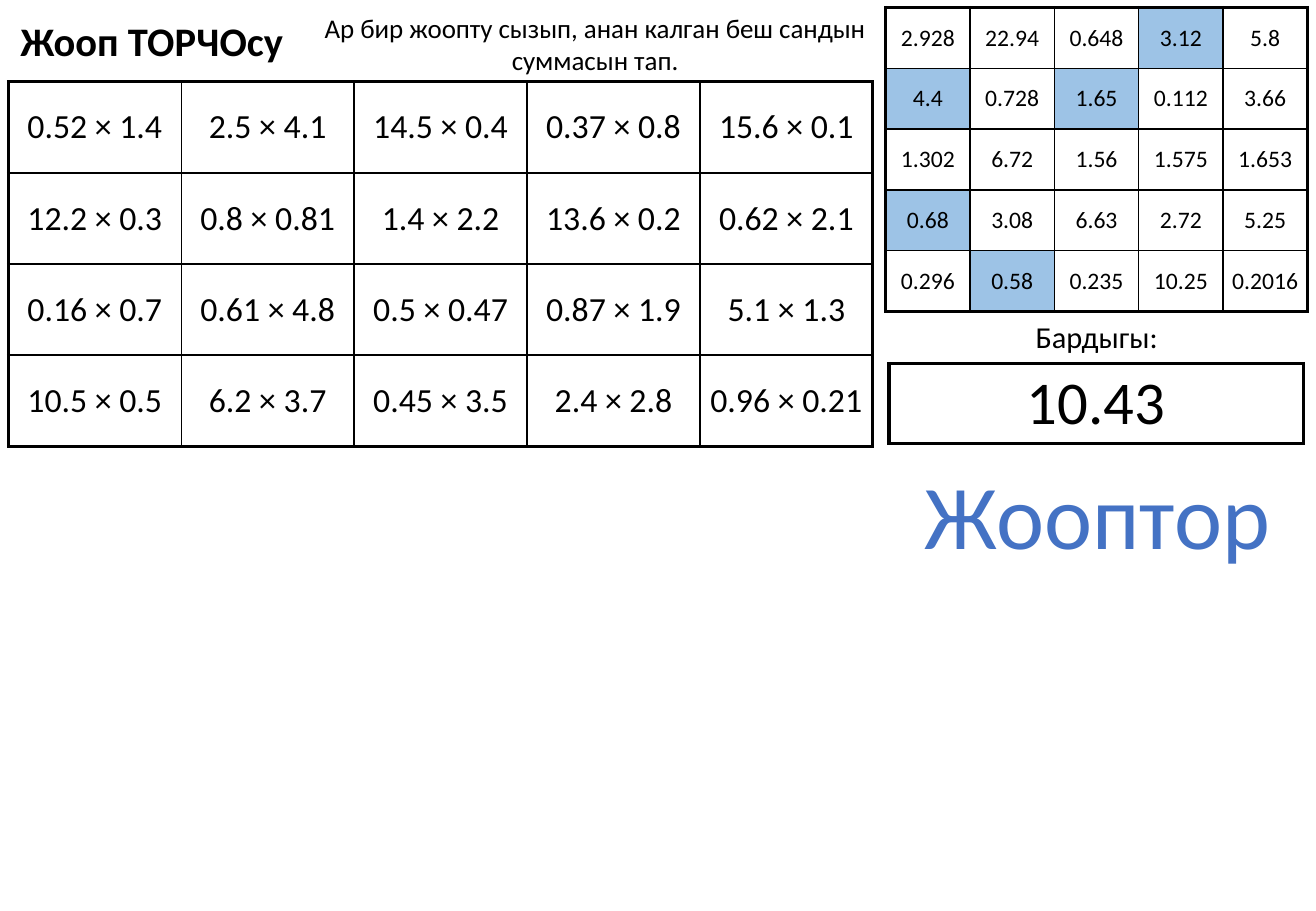
from dataclasses import dataclass
from lxml.etree import SubElement
from pptx import Presentation
from pptx.dml.color import RGBColor
from pptx.enum.text import MSO_ANCHOR, MSO_AUTO_SIZE, PP_ALIGN
from pptx.oxml.ns import qn
from pptx.util import Pt


@dataclass(frozen=True)
class Theme:
    face: str = "Calibri"
    ink: str = "000000"
    paper: str = "FFFFFF"
    mark: str = "9DC3E6"
    accent: str = "4472C4"
    title: float = 24
    rule: float = 16
    task: float = 20
    answer: float = 14
    label: float = 18
    total: float = 36
    banner: float = 54
    thin: float = 1
    thick: float = 2.25


def assign(target, values):
    for name, value in values.items():
        setattr(target, name, value)


class Sheet:
    def __init__(self, slide, theme):
        self.slide, self.theme = slide, theme

    def letter(self, frame, text, size, color=None, bold=False, align=PP_ALIGN.CENTER):
        par = frame.paragraphs[0]
        par.text = text
        par.alignment = align
        assign(par.font, {"name": self.theme.face, "size": Pt(size), "bold": bold})
        par.font.color.rgb = RGBColor.from_string(color or self.theme.ink)

    def title(self, text, left, top, width, height):
        shape = self.slide.shapes.title
        assign(shape, {"left": Pt(left), "top": Pt(top),
                       "width": Pt(width), "height": Pt(height)})
        assign(shape.text_frame, {"word_wrap": True, "auto_size": MSO_AUTO_SIZE.NONE,
                                  "vertical_anchor": MSO_ANCHOR.TOP})
        self.letter(shape.text_frame, text, self.theme.title, bold=True,
                    align=PP_ALIGN.LEFT)

    def text(self, text, left, top, width, height, size, color=None, wrap=True):
        box = self.slide.shapes.add_textbox(Pt(left), Pt(top), Pt(width), Pt(height))
        assign(box.text_frame, {"word_wrap": wrap,
                                "auto_size": MSO_AUTO_SIZE.SHAPE_TO_FIT_TEXT})
        self.letter(box.text_frame, text, size, color)

    def border(self, cell, side, width):
        line = SubElement(cell._tc.get_or_add_tcPr(), qn(f"a:ln{side}"), w=str(Pt(width)))
        fill = SubElement(line, qn("a:solidFill"))
        SubElement(fill, qn("a:srgbClr"), val=self.theme.ink)

    def grid(self, rows, left, top, wide, high, size, inset=0, marked=()):
        theme = self.theme
        count, span = len(rows), len(rows[0])
        table = self.slide.shapes.add_table(
            count, span, Pt(left), Pt(top), Pt(wide * span), Pt(high * count)).table
        assign(table, {"first_row": False, "horz_banding": False})
        for col in table.columns:
            col.width = Pt(wide)
        margins = ("margin_left", "margin_right", "margin_top", "margin_bottom")
        for r, row in enumerate(rows):
            table.rows[r].height = Pt(high)
            for c, text in enumerate(row):
                cell = table.cell(r, c)
                assign(cell, dict.fromkeys(margins, Pt(inset)))
                cell.vertical_anchor = MSO_ANCHOR.MIDDLE
                # Thick lines on the outer edge only
                edges = {"L": c == 0, "R": c == span - 1,
                         "T": r == 0, "B": r == count - 1}
                for side, outer in edges.items():
                    self.border(cell, side, theme.thick if outer else theme.thin)
                cell.fill.solid()
                cell.fill.fore_color.rgb = RGBColor.from_string(
                    theme.mark if text in marked else theme.paper)
                self.letter(cell.text_frame, text, size)


ANSWERS = [
    ["2.928", "22.94", "0.648", "3.12", "5.8"],
    ["4.4", "0.728", "1.65", "0.112", "3.66"],
    ["1.302", "6.72", "1.56", "1.575", "1.653"],
    ["0.68", "3.08", "6.63", "2.72", "5.25"],
    ["0.296", "0.58", "0.235", "10.25", "0.2016"],
]
UNUSED = {"3.12", "4.4", "1.65", "0.68", "0.58"}
TASKS = [
    ["0.52 × 1.4", "2.5 × 4.1", "14.5 × 0.4", "0.37 × 0.8", "15.6 × 0.1"],
    ["12.2 × 0.3", "0.8 × 0.81", "1.4 × 2.2", "13.6 × 0.2", "0.62 × 2.1"],
    ["0.16 × 0.7", "0.61 × 4.8", "0.5 × 0.47", "0.87 × 1.9", "5.1 × 1.3"],
    ["10.5 × 0.5", "6.2 × 3.7", "0.45 × 3.5", "2.4 × 2.8", "0.96 × 0.21"],
]


def main():
    deck = Presentation()
    assign(deck, {"slide_width": Pt(780), "slide_height": Pt(540)})
    theme = Theme()
    sheet = Sheet(deck.slides.add_slide(deck.slide_layouts[5]), theme)

    # Answer grid, tasks and total
    sheet.grid(ANSWERS, 525, 4.5, 50, 36, theme.answer, marked=UNUSED)
    sheet.grid(TASKS, 5, 48.5, 102.5, 54, theme.task, inset=3.6)
    sheet.grid([["10.43"]], 527, 215.5, 245.5, 47.5, theme.total)

    # Heading, instruction and labels
    sheet.title("Жооп ТОРЧОсу", 5, 6, 181, 36)
    sheet.text("Ар бир жоопту сызып, анан калган беш сандын суммасын тап.",
               170.5, 3, 364.5, 46, theme.rule)
    sheet.text("Бардыгы:", 530.5, 185, 239, 29, theme.label)
    sheet.text("Жооптор", 528.5, 268.5, 244, 72.5, theme.banner, theme.accent, wrap=False)

    deck.save("out.pptx")


if __name__ == "__main__":
    main()
